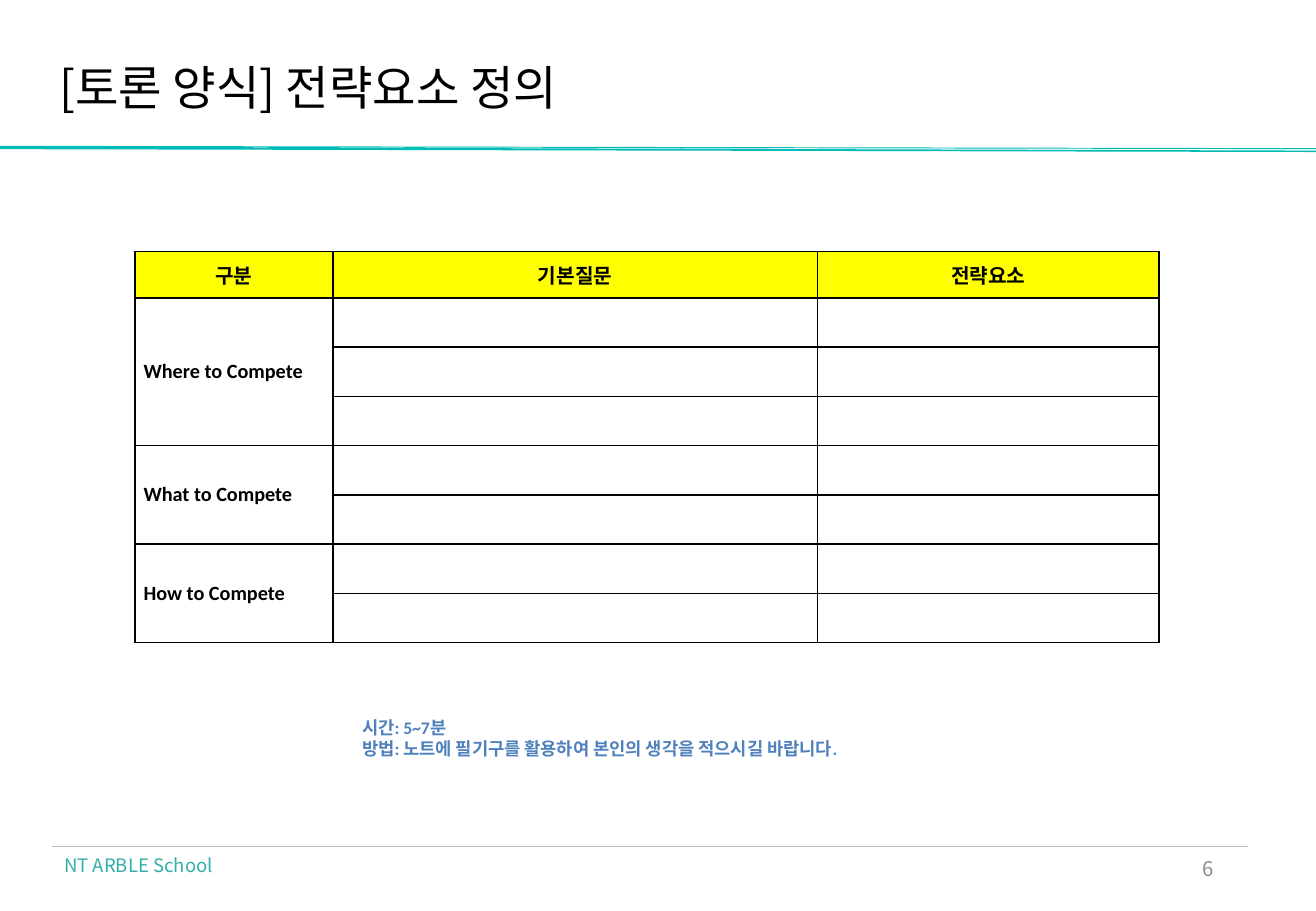
import pptx
import pptx.util
import pptx.dml.color
import pptx.enum.text
import pptx.enum.shapes
import pptx.oxml
import pptx.oxml.ns
import lxml.etree

Cm = pptx.util.Cm
Pt = pptx.util.Pt
ALIGN = pptx.enum.text.PP_ALIGN
ANCHOR = pptx.enum.text.MSO_ANCHOR

SLIDE_SIZE = (27.51, 19.05)
TITLE = "[토론 양식] 전략요소 정의"
HEADERS = ["구분", "기본질문", "전략요소"]
SECTIONS = [("Where to Compete", 3), ("What to Compete", 2), ("How to Compete", 2)]
NOTES = ["시간: 5~7분", "방법: 노트에 필기구를 활용하여 본인의 생각을 적으시길 바랍니다."]
FOOTER = "NT ARBLE School"
PAGE_NUMBER = "6"

TITLE_BOX = (1.24, 1.35, 24.84, 1.07)
NOTE_BOX = (7.32, 14.86, 13.77, 1.14)
FOOTER_BOX = (1.09, 17.73, 4.2, 0.74)
NUMBER_BOX = (19.43, 17.65, 6.2, 1.02)
TABLE_ORIGIN = (2.82, 5.26)
COLUMN_WIDTHS = [4.14, 10.13, 7.14]
HEADER_HEIGHT, ROW_HEIGHT = 0.97, 1.03
FOOTER_RULE = (1.09, 17.7, 26.09, 17.7)
TITLE_BANDS = [
    [(0, 3.07), (0, 3.12), (27.51, 3.18), (27.51, 3.15)],
    [(0, 3.05), (0, 3.07), (27.51, 3.12), (27.51, 3.1)],
]

SANS = "Noto Sans CJK KR"
TITLE_FONT = {"name": SANS, "size": Pt(28), "color": "000000"}
TABLE_FONT = {"name": "Calibri", "size": Pt(12), "bold": True, "color": "000000"}
NOTE_FONT = {"name": "Calibri", "size": Pt(10.5), "bold": True, "color": "4F81BD"}
FOOTER_FONT = {"name": SANS, "size": Pt(11), "color": "34AEAA"}
NUMBER_FONT = {"name": SANS, "size": Pt(12), "color": "8C8C8C"}
CELL_FORMAT = {
    "margin_left": Cm(0.18), "margin_right": Cm(0.18),
    "margin_top": Cm(0.1), "margin_bottom": Cm(0.1),
    "vertical_anchor": ANCHOR.MIDDLE,
}
TITLE_FRAME = {
    "margin_left": 0, "margin_right": 0, "margin_top": 0, "margin_bottom": 0,
    "vertical_anchor": ANCHOR.MIDDLE, "word_wrap": True,
}


def rgb(value):
    return pptx.dml.color.RGBColor.from_string(value)


def lengths(values):
    return [Cm(value) for value in values]


def apply_format(target, values):
    for name, value in values.items():
        setattr(target, name, value)


def write(frame, lines, font, align=ALIGN.LEFT, line_spacing=1.0):
    for index, line in enumerate(lines):
        paragraph = frame.add_paragraph() if index else frame.paragraphs[0]
        apply_format(paragraph, {"alignment": align, "line_spacing": line_spacing})
        run = paragraph.add_run()
        run.text = line
        apply_format(run.font, {key: font[key] for key in font if key != "color"})
        run.font.color.rgb = rgb(font["color"])
        east_asian = lxml.etree.SubElement(run.font._element, pptx.oxml.ns.qn("a:ea"))
        east_asian.set("typeface", SANS)


def add_text(slide, box, lines, font, align=ALIGN.LEFT, anchor=ANCHOR.TOP):
    frame = slide.shapes.add_textbox(*lengths(box)).text_frame
    apply_format(frame, {"word_wrap": True, "vertical_anchor": anchor})
    write(frame, lines, font, align)


def add_title(slide):
    title = slide.shapes.title
    apply_format(title, dict(zip(("left", "top", "width", "height"), lengths(TITLE_BOX))))
    apply_format(title.text_frame, TITLE_FRAME)
    write(title.text_frame, [TITLE], TITLE_FONT, line_spacing=0.9)


def add_title_bands(slide):
    builder = None
    for band in TITLE_BANDS:
        start, *others = [lengths(point) for point in band]
        if builder is None:
            builder = slide.shapes.build_freeform(*start)
        else:
            builder.move_to(*start)
        builder.add_line_segments(others, close=True)
    shape = builder.convert_to_shape()
    shape.shadow.inherit = False
    shape.fill.solid()
    shape.fill.fore_color.rgb = rgb("01BCB6")
    shape.line.fill.background()


def add_footer_rule(slide):
    rule = slide.shapes.add_connector(
        pptx.enum.shapes.MSO_CONNECTOR.STRAIGHT, *lengths(FOOTER_RULE))
    rule.line.color.rgb = rgb("BEBEBE")
    rule.line.width = Pt(0.5)
    lxml.etree.SubElement(rule._element.spPr, pptx.oxml.ns.qn("a:effectLst"))


def add_borders(cell):
    properties = cell._tc.get_or_add_tcPr()
    for side in ("lnL", "lnR", "lnT", "lnB"):
        properties.append(pptx.oxml.parse_xml(
            f'<a:{side} {pptx.oxml.ns.nsdecls("a")} w="12700"><a:solidFill>'
            f'<a:srgbClr val="000000"/></a:solidFill></a:{side}>'))


def add_strategy_table(slide):
    row_count = 1 + sum(count for label, count in SECTIONS)
    heights = [HEADER_HEIGHT] + [ROW_HEIGHT] * (row_count - 1)
    table = slide.shapes.add_table(
        row_count, len(HEADERS),
        *lengths((*TABLE_ORIGIN, sum(COLUMN_WIDTHS), sum(heights)))).table
    for column, width in zip(table.columns, COLUMN_WIDTHS):
        column.width = Cm(width)
    for index, (row, height) in enumerate(zip(table.rows, heights)):
        row.height = Cm(height)
        for cell in row.cells:
            apply_format(cell, CELL_FORMAT)
            add_borders(cell)
            cell.fill.solid()
            cell.fill.fore_color.rgb = rgb("FFFFFF" if index else "FFFF00")
    for column, header in enumerate(HEADERS):
        write(table.cell(0, column).text_frame, [header], TABLE_FONT, ALIGN.CENTER)
    first = 1
    for label, count in SECTIONS:
        cell = table.cell(first, 0)
        cell.merge(table.cell(first + count - 1, 0))
        write(cell.text_frame, [label], TABLE_FONT)
        first += count


def main():
    presentation = pptx.Presentation()
    presentation.slide_width, presentation.slide_height = lengths(SLIDE_SIZE)
    slide = presentation.slides.add_slide(presentation.slide_layouts[5])
    add_title_bands(slide)
    add_footer_rule(slide)
    add_text(slide, NUMBER_BOX, [PAGE_NUMBER], NUMBER_FONT, ALIGN.RIGHT, ANCHOR.MIDDLE)
    add_text(slide, FOOTER_BOX, [FOOTER], FOOTER_FONT)
    add_title(slide)
    add_strategy_table(slide)
    add_text(slide, NOTE_BOX, NOTES, NOTE_FONT)
    presentation.save("out.pptx")


if __name__ == "__main__":
    main()
